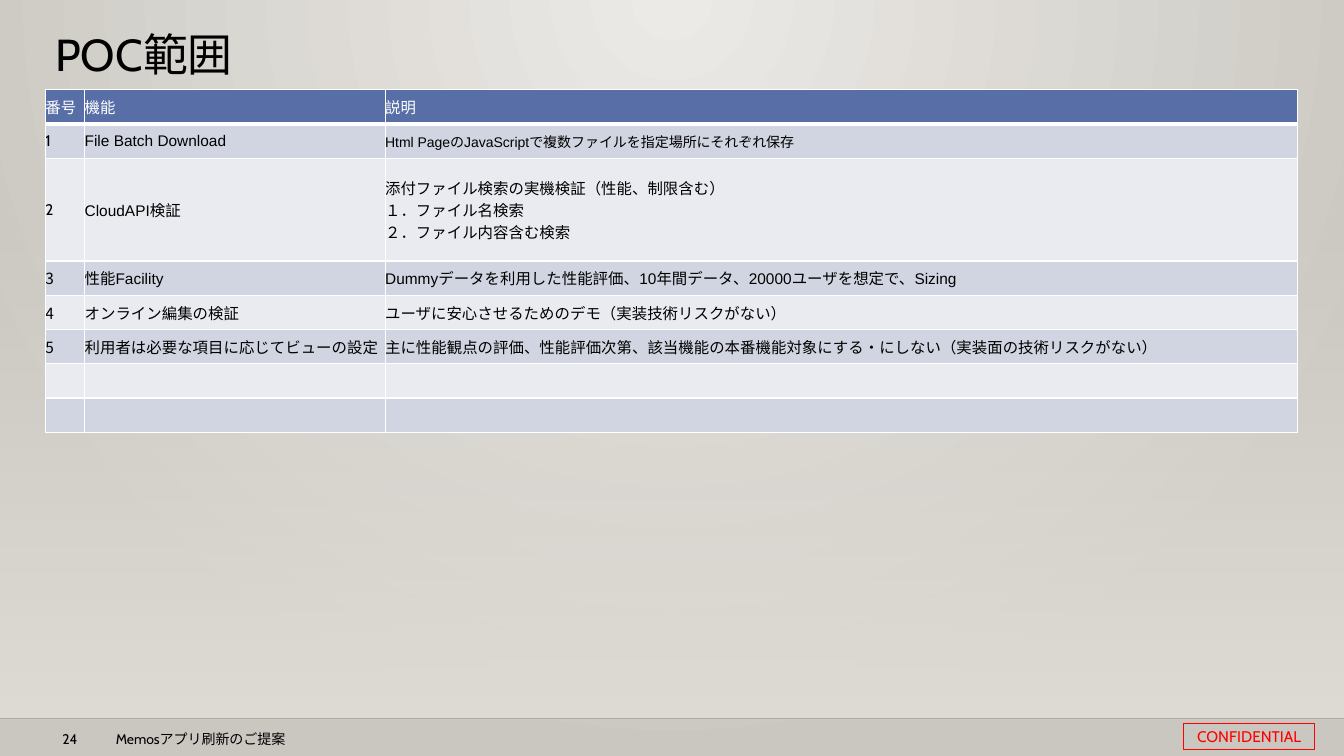
import pptx
import pptx.util
import pptx.dml.color
import pptx.enum.shapes
import pptx.enum.text
import pptx.oxml
import pptx.oxml.ns
from dataclasses import dataclass

Inches = pptx.util.Inches
Anchor = pptx.enum.text.MSO_ANCHOR
NAMESPACES = pptx.oxml.ns.nsdecls("a", "p")


@dataclass(frozen=True)
class Theme:
    black: str = "000000"
    white: str = "FFFFFF"
    red: str = "FF0000"
    header: str = "586EA6"
    bands: tuple = ("D1D5E1", "EAEBF1")
    glow: str = "ECEAE7"
    edge: str = "CAC7C1"
    veil: str = "DFDBD5"
    rule: str = "000001"
    body: str = "Cabin"
    latin: str = "Arial"
    japanese: str = "Noto Sans CJK JP"
    title_size: int = 32
    text_size: int = 11
    small_size: int = 10


def color(value):
    return pptx.dml.color.RGBColor.from_string(value)


def xml(text):
    return pptx.oxml.parse_xml(text)


def stop(position, value, alpha=100):
    return (f'<a:gs pos="{position * 1000}"><a:srgbClr val="{value}">'
            f'<a:alpha val="{alpha * 1000}"/></a:srgbClr></a:gs>')


class SlideBuilder:
    def __init__(self, slide, theme):
        self.slide = slide
        self.theme = theme

    def style(self, para, size, fill, font):
        para.font.size = pptx.util.Pt(size)
        para.font.color.rgb = color(fill)
        para.font.name = font

    def background(self):
        stops = stop(0, self.theme.glow) + stop(100, self.theme.edge)
        self.slide._element.cSld.insert(0, xml(
            f'<p:bg {NAMESPACES}><p:bgPr><a:gradFill rotWithShape="1"><a:gsLst>{stops}</a:gsLst>'
            '<a:path path="circle"><a:fillToRect l="43000" t="0" r="43000" b="100000"/></a:path>'
            '</a:gradFill><a:effectLst/></p:bgPr></p:bg>'))

    def rectangle(self, left, top, width, height):
        shape = self.slide.shapes.add_shape(
            pptx.enum.shapes.MSO_SHAPE.RECTANGLE,
            Inches(left), Inches(top), Inches(width), Inches(height))
        shape.shadow.inherit = False
        shape.fill.background()
        shape.line.fill.background()
        return shape

    def veil(self, left, top, width, height):
        shape = self.rectangle(left, top, width, height)
        stops = stop(0, self.theme.veil, 0) + stop(100, self.theme.veil)
        properties = shape._element.spPr
        plain = properties.find(pptx.oxml.ns.qn("a:noFill"))
        properties.replace(plain, xml(
            f'<a:gradFill {NAMESPACES}><a:gsLst>{stops}</a:gsLst>'
            '<a:lin ang="5400000" scaled="0"/></a:gradFill>'))

    def rule(self, left, right, top):
        line = self.slide.shapes.add_connector(
            pptx.enum.shapes.MSO_CONNECTOR.STRAIGHT,
            Inches(left), Inches(top), Inches(right), Inches(top))
        line.line.width = pptx.util.Pt(1)
        line.line.color.rgb = color(self.theme.rule)
        shade = line._element.spPr.find(".//" + pptx.oxml.ns.qn("a:srgbClr"))
        shade.append(xml(f'<a:alpha {NAMESPACES} val="20000"/>'))
        line._element.spPr.append(xml(f'<a:effectLst {NAMESPACES}/>'))

    def text(self, left, top, width, height, words, size):
        box = self.slide.shapes.add_textbox(
            Inches(left), Inches(top), Inches(width), Inches(height))
        box.text_frame.word_wrap = True
        para = box.text_frame.paragraphs[0]
        para.text = words
        self.style(para, size, self.theme.black, self.theme.body)
        return para

    def stamp(self, left, top, width, height, words):
        shape = self.rectangle(left, top, width, height)
        shape.line.color.rgb = color(self.theme.red)
        shape.line.width = pptx.util.Pt(0.75)
        frame = shape.text_frame
        frame.margin_left = frame.margin_right = Inches(0.04)
        frame.margin_top = frame.margin_bottom = Inches(0.04)
        frame.vertical_anchor = Anchor.MIDDLE
        frame.auto_size = pptx.enum.text.MSO_AUTO_SIZE.SHAPE_TO_FIT_TEXT
        para = frame.paragraphs[0]
        para.text = words
        para.alignment = pptx.enum.text.PP_ALIGN.CENTER
        self.style(para, self.theme.text_size, self.theme.red, self.theme.body)

    def cell(self, cell, row, words, font, size):
        theme = self.theme
        cell.margin_left = cell.margin_right = cell.margin_top = cell.margin_bottom = 0
        cell.vertical_anchor = Anchor.MIDDLE
        cell.text = words
        for para in cell.text_frame.paragraphs:
            self.style(para, size, theme.black if row else theme.white, font)
        cell.fill.solid()
        cell.fill.fore_color.rgb = color(theme.bands[(row - 1) % 2] if row else theme.header)
        # The line below the header row is heavier than the rest
        widths = {"L": 1, "R": 1, "T": 3 if row == 1 else 1, "B": 1 if row else 3}
        for index, (side, width) in enumerate(widths.items()):
            cell._tc.tcPr.insert(index, xml(
                f'<a:ln{side} {NAMESPACES} w="{pptx.util.Pt(width)}"><a:solidFill>'
                f'<a:srgbClr val="{theme.white}"/></a:solidFill></a:ln{side}>'))

    def table(self, left, top, widths, heights, rows):
        table = self.slide.shapes.add_table(
            len(heights), len(widths), Inches(left), Inches(top),
            Inches(sum(widths)), Inches(sum(heights))).table
        table.first_row = table.horz_banding = False
        for column, width in zip(table.columns, widths):
            column.width = Inches(width)
        for line, height in zip(table.rows, heights):
            line.height = Inches(height)
        for row, entries in enumerate(rows):
            for column, (words, font, size) in enumerate(entries):
                self.cell(table.cell(row, column), row, words, font, size)


def scope_rows(theme):
    body, latin, japanese = theme.body, theme.latin, theme.japanese
    wording = [
        (("番号", body), ("機能", body), ("説明", body)),
        (("1", body), ("File Batch Download", latin),
         ("Html PageのJavaScriptで複数ファイルを指定場所にそれぞれ保存", latin, theme.small_size)),
        (("2", body), ("CloudAPI検証", latin),
         ("添付ファイル検索の実機検証（性能、制限含む）\n"
          "１．ファイル名検索\n２．ファイル内容含む検索", latin)),
        (("3", japanese), ("性能Facility", latin),
         ("Dummyデータを利用した性能評価、10年間データ、20000ユーザを想定で、Sizing", latin)),
        (("4", japanese), ("オンライン編集の検証", body),
         ("ユーザに安心させるためのデモ（実装技術リスクがない）", latin)),
        (("5", japanese), ("利用者は必要な項目に応じてビューの設定", body),
         ("主に性能観点の評価、性能評価次第、該当機能の本番機能対象にする・にしない"
          "（実装面の技術リスクがない）", latin)),
    ] + [(("", body),) * 3] * 2
    return [[(entry + (theme.text_size,))[:3] for entry in row] for row in wording]


def main():
    deck = pptx.Presentation()
    deck.slide_width, deck.slide_height = Inches(13.33), Inches(7.5)
    theme = Theme()
    page = SlideBuilder(deck.slides.add_slide(deck.slide_layouts[6]), theme)

    # Backdrop
    page.background()
    page.veil(0, 2.21, 13.33, 4.93)
    page.rule(0, 13.33, 7.13)

    # Footer
    page.text(0.52, 7.2, 0.4, 0.19, "24", theme.small_size)
    page.text(1.05, 7.2, 5.67, 0.19, "Memosアプリ刷新のご提案", theme.small_size)
    page.stamp(11.74, 7.18, 1.3, 0.26, "CONFIDENTIAL")

    # Title
    title = page.text(0.45, 0.28, 10.2, 0.75, "POC範囲", theme.title_size)
    title.line_spacing = 0.9

    # Scope table
    heights = [1.02 if row == 2 else 0.34 for row in range(8)]
    page.table(0.45, 0.89, [0.39, 2.98, 9.05], heights, scope_rows(theme))

    deck.save("out.pptx")


if __name__ == "__main__":
    main()
